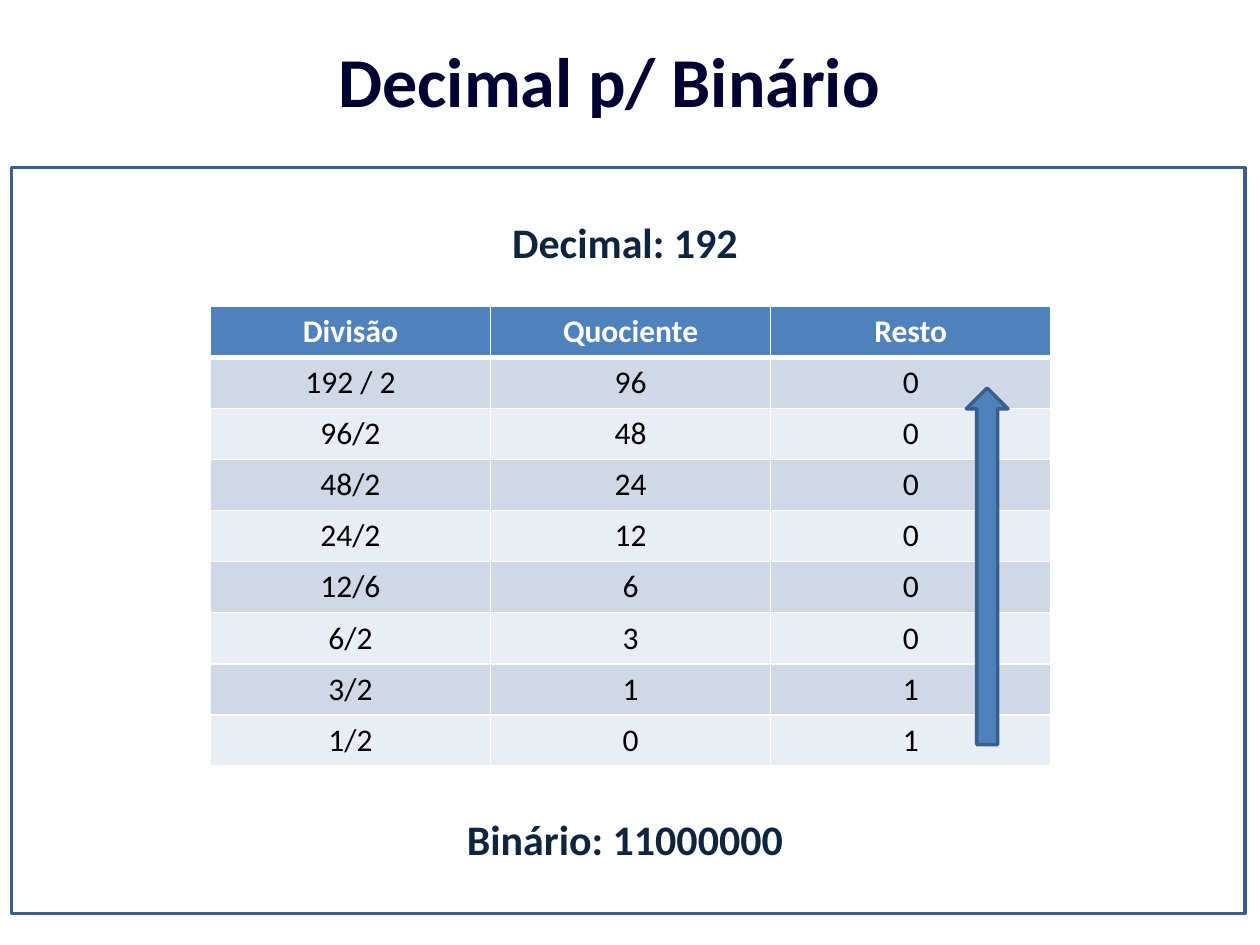
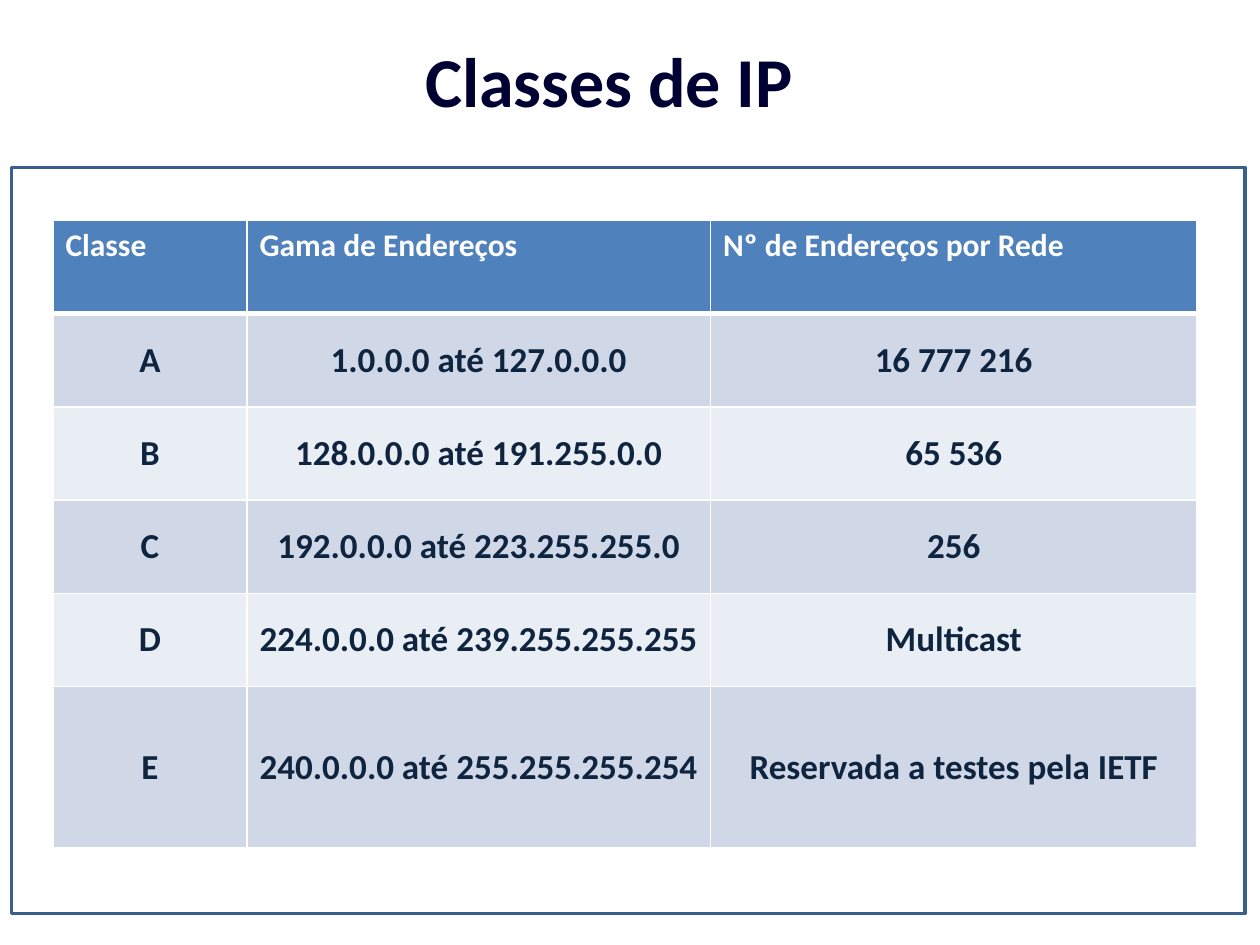
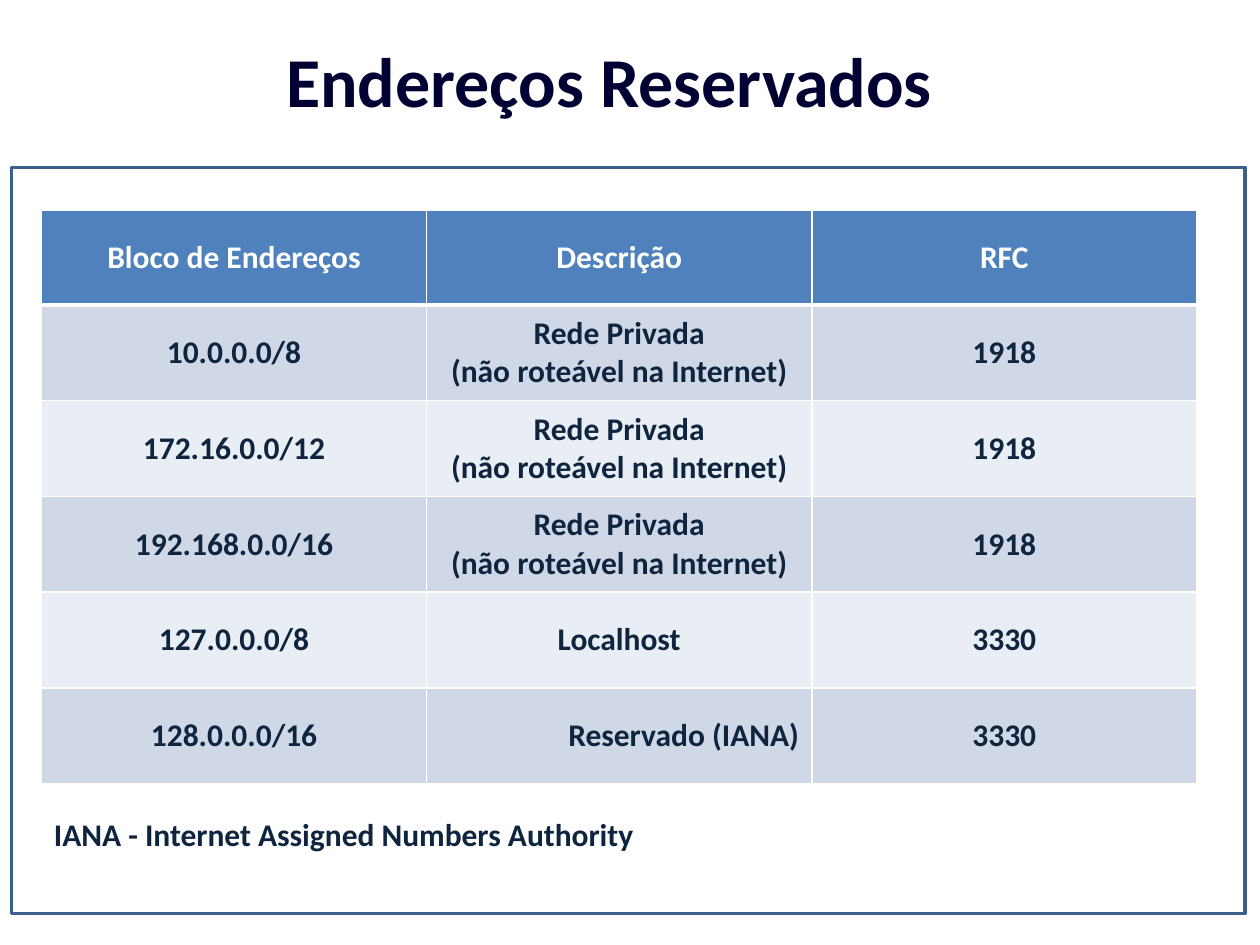
import collections
import pptx
import pptx.dml.color
import pptx.enum.shapes
import pptx.enum.text
import pptx.oxml
import pptx.oxml.ns
import pptx.util

Inches = pptx.util.Inches
Pt = pptx.util.Pt
Align = pptx.enum.text.PP_ALIGN
Anchor = pptx.enum.text.MSO_ANCHOR
Shape = pptx.enum.shapes.MSO_SHAPE
Box = collections.namedtuple("Box", "left top width height")
Style = collections.namedtuple("Style", "size color bold align anchor")

FONT = "Calibri"
TITLE, INK, BLACK, WHITE = "000032", "0F243E", "000000", "FFFFFF"
BLUE, EDGE = "4F81BD", "3A5F8C"
BANDS = ("D0D8E8", "E9EDF4")
HEAD = Style(18, WHITE, True, Align.CENTER, Anchor.MIDDLE)
BODY = Style(18, INK, True, Align.CENTER, Anchor.MIDDLE)
PLAIN = Style(18, BLACK, False, Align.CENTER, Anchor.TOP)
TITLE_BOX = Box(2.17, 0.25, 5.33, 0.77)
FRAME = Box(0.09, 1.33, 9.79, 5.92)


def rgb(code):
    """Return the colour for a hex string."""
    return pptx.dml.color.RGBColor.from_string(code)


def inset(box, left, top, width, height):
    """Return a box placed relative to the corner of another."""
    return Box(box.left + left, box.top + top, width, height)


def write(frame, text, style):
    """Fill a text frame, one paragraph for each line."""
    frame.text = text
    for para in frame.paragraphs:
        para.alignment = style.align
        para.font.name = FONT
        para.font.size = Pt(style.size)
        para.font.bold = style.bold
        para.font.color.rgb = rgb(style.color)


def label(slide, box, text, size, color=INK, align=Align.CENTER):
    """Add a line of bold text."""
    frame = slide.shapes.add_textbox(*map(Inches, box)).text_frame
    frame.word_wrap = True
    write(frame, text, Style(size, color, True, align, Anchor.TOP))


def outline(slide, kind, box, fill=None):
    """Add a preset shape with the dark blue edge."""
    shape = slide.shapes.add_shape(kind, *map(Inches, box))
    shape.shadow.inherit = False
    if fill:
        shape.fill.solid()
        shape.fill.fore_color.rgb = rgb(fill)
    else:
        shape.fill.background()
    shape.line.color.rgb = rgb(EDGE)
    shape.line.width = Pt(2)


def border(cell, top, bottom):
    """Draw white cell borders with the given top and bottom points."""
    props = cell._tc.get_or_add_tcPr()
    sides = {"L": 1, "R": 1, "T": top, "B": bottom}
    for spot, (side, width) in enumerate(sides.items()):
        props.insert(spot, pptx.oxml.parse_xml(
            f'<a:ln{side} {pptx.oxml.ns.nsdecls("a")} w="{Pt(width)}">'
            f'<a:solidFill><a:srgbClr val="{WHITE}"/></a:solidFill></a:ln{side}>'))


def grid(slide, box, rows, widths, heights, head, body):
    """Add a banded table with a blue heading row."""
    table = slide.shapes.add_table(len(rows), len(widths), *map(Inches, box)).table
    for column, width in zip(table.columns, widths):
        column.width = Inches(width)
    for y, (row, height) in enumerate(zip(rows, heights)):
        table.rows[y].height = Inches(height)
        style = body if y else head
        for x, text in enumerate(row):
            cell = table.cell(y, x)
            write(cell.text_frame, text, style)
            cell.vertical_anchor = style.anchor
            cell.fill.solid()
            cell.fill.fore_color.rgb = rgb(BANDS[(y - 1) % 2] if y else BLUE)
            border(cell, 3 if y == 1 else 1, 1 if y else 3)
    return table


def start(deck, title):
    """Add a slide with its title and frame."""
    slide = deck.slides.add_slide(deck.slide_layouts[6])
    outline(slide, Shape.RECTANGLE, FRAME)
    label(slide, TITLE_BOX, title, 40, TITLE)
    return slide


def binary(slide, box):
    """Show the repeated division of a decimal number."""
    rows = [("Divisão", "Quociente", "Resto"),
            ("192 / 2", "96", "0"), ("96/2", "48", "0"), ("48/2", "24", "0"),
            ("24/2", "12", "0"), ("12/6", "6", "0"), ("6/2", "3", "0"),
            ("3/2", "1", "1"), ("1/2", "0", "1")]
    area = inset(box, 1.58, 1.1, 6.67, 3.65)
    label(slide, inset(box, 0.16, 0.34, 9.42, 0.5), "Decimal: 192", 24)
    grid(slide, area, rows, [area.width / 3] * 3,
         [area.height / len(rows)] * len(rows),
         HEAD._replace(anchor=Anchor.TOP), PLAIN)
    outline(slide, Shape.UP_ARROW, inset(box, 7.58, 1.75, 0.33, 2.83), BLUE)
    label(slide, inset(box, 0.16, 5.08, 9.42, 0.5), "Binário: 11000000", 24)


def classes(slide, box):
    """List the address classes."""
    rows = [("Classe", "Gama de Endereços", "Nº de Endereços por Rede"),
            ("A", "1.0.0.0 até 127.0.0.0", "16 777 216"),
            ("B", "128.0.0.0 até 191.255.0.0", "65 536"),
            ("C", "192.0.0.0 até 223.255.255.0", "256"),
            ("D", "224.0.0.0 até 239.255.255.255", "Multicast"),
            ("E", "240.0.0.0 até 255.255.255.254", "Reservada a testes pela IETF")]
    grid(slide, inset(box, 0.33, 0.42, 9.08, 5), rows, [1.54, 3.68, 3.86],
         [0.74] * 5 + [1.28], HEAD._replace(align=Align.LEFT, anchor=Anchor.TOP),
         BODY._replace(size=20))


def reserved(slide, box):
    """List the reserved address blocks."""
    private = "Rede Privada\n(não roteável na Internet)"
    rows = [("Bloco de Endereços", "Descrição", "RFC"),
            ("10.0.0.0/8", private, "1918"),
            ("172.16.0.0/12", private, "1918"),
            ("192.168.0.0/16", private, "1918"),
            ("127.0.0.0/8", "Localhost", "3330"),
            ("128.0.0.0/16", "Reservado (IANA)", "3330")]
    area = inset(box, 0.24, 0.34, 9.17, 4.57)
    table = grid(slide, area, rows, [area.width / 3] * 3, [0.75] + [0.76] * 5,
                 HEAD, BODY)
    table.cell(5, 1).text_frame.paragraphs[0].alignment = Align.RIGHT
    label(slide, inset(box, 0.24, 5.09, 9.25, 0.4),
          "IANA - Internet Assigned Numbers Authority", 18, align=Align.LEFT)


def main():
    """Build and save the slides."""
    deck = pptx.Presentation()
    deck.slide_width, deck.slide_height = Inches(10), Inches(7.5)
    pages = {"Decimal p/ Binário": binary, "Classes de IP": classes,
             "Endereços Reservados": reserved}
    for title, fill in pages.items():
        fill(start(deck, title), FRAME)
    deck.save("out.pptx")


main()
